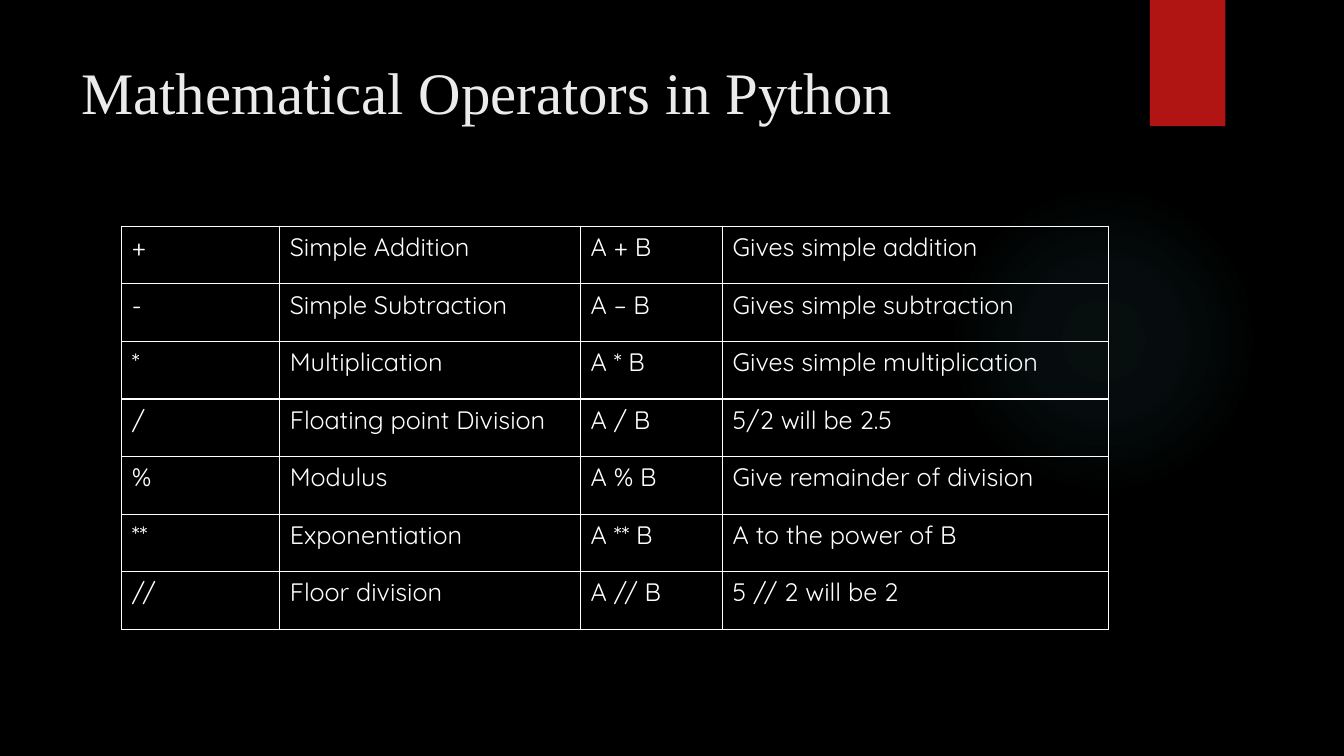
import pptx
import pptx.dml.color
import pptx.enum.shapes
import pptx.enum.text
import pptx.oxml
import pptx.oxml.ns
import pptx.util

Cm = pptx.util.Cm
Pt = pptx.util.Pt
Shape = pptx.enum.shapes.MSO_SHAPE
Color = pptx.dml.color.RGBColor.from_string

theme = {
    "back": "000000",
    "glow": "50B9C1",
    "tab": "B01513",
    "line": "FFFFFF",
    "title": {"name": "Times New Roman", "size": Pt(42), "color": "EBEBEB"},
    "cell": {"name": "Quicksand", "size": Pt(18), "color": "FFFFFF"},
}
space = pptx.oxml.ns.nsdecls("a")


def write(frame, text, style):
    run = frame.paragraphs[0].add_run()
    run.text = text
    for key, value in style.items():
        if key == "color":
            run.font.color.rgb = Color(value)
        else:
            setattr(run.font, key, value)


def plain(kind, *place):
    shape = slide.shapes.add_shape(kind, *map(Cm, place))
    shape.shadow.inherit = False
    shape.line.fill.background()
    shape.fill.solid()
    return shape


deck = pptx.Presentation()
deck.slide_width = Cm(33.87)
deck.slide_height = Cm(19.05)
slide = deck.slides.add_slide(deck.slide_layouts[6])
slide.background.fill.solid()
slide.background.fill.fore_color.rgb = Color(theme["back"])

glow = plain(Shape.OVAL, 23.9, 4.65, 7.82, 7.82)
stops = "".join(
    f'<a:gs pos="{place * 1000}"><a:srgbClr val="{theme["glow"]}">'
    f'<a:alpha val="{alpha * 1000}"/></a:srgbClr></a:gs>'
    for place, alpha in ((0, 7), (36, 6), (69, 0))
)
fade = pptx.oxml.parse_xml(
    f'<a:gradFill {space} rotWithShape="1"><a:gsLst>{stops}</a:gsLst>'
    '<a:path path="circle"><a:fillToRect l="50000" t="50000" r="50000" b="50000"/>'
    "</a:path></a:gradFill>"
)
props = glow._element.spPr
props.replace(props.find(pptx.oxml.ns.qn("a:solidFill")), fade)

tab = plain(Shape.RECTANGLE, 28.98, 0, 1.9, 3.18)
tab.fill.fore_color.rgb = Color(theme["tab"])

title = slide.shapes.add_textbox(Cm(1.8), Cm(1.27), Cm(26.14), Cm(3.89)).text_frame
title.word_wrap = True
title.vertical_anchor = pptx.enum.text.MSO_ANCHOR.TOP
write(title, "Mathematical Operators in Python", theme["title"])

rows = [
    ("+", "Simple Addition", "A + B", "Gives simple addition"),
    ("-", "Simple Subtraction", "A – B", "Gives simple subtraction"),
    ("*", "Multiplication", "A * B", "Gives simple multiplication"),
    ("/", "Floating point Division", "A / B", "5/2 will be 2.5"),
    ("%", "Modulus", "A % B", "Give remainder of division"),
    ("**", "Exponentiation", "A ** B", "A to the power of B"),
    ("//", "Floor division", "A // B", "5 // 2 will be 2"),
]
widths = [3.98, 7.58, 3.58, 9.72]
table = slide.shapes.add_table(
    len(rows), len(widths), Cm(3.07), Cm(5.7), Cm(sum(widths)), Cm(10.16)
).table
for flag in ("first_row", "horz_banding"):
    setattr(table, flag, False)
for column, width in zip(table.columns, widths):
    column.width = Cm(width)

for row, words in enumerate(rows):
    for column, text in enumerate(words):
        cell = table.cell(row, column)
        cell.fill.background()
        write(cell.text_frame, text, theme["cell"])
        edges = cell._tc.get_or_add_tcPr()
        for order, side in enumerate("LRTB"):
            edge = pptx.oxml.parse_xml(
                f'<a:ln{side} {space} w="{Pt(1)}"><a:solidFill>'
                f'<a:srgbClr val="{theme["line"]}"/></a:solidFill></a:ln{side}>'
            )
            edges.insert(order, edge)

deck.save("out.pptx")
